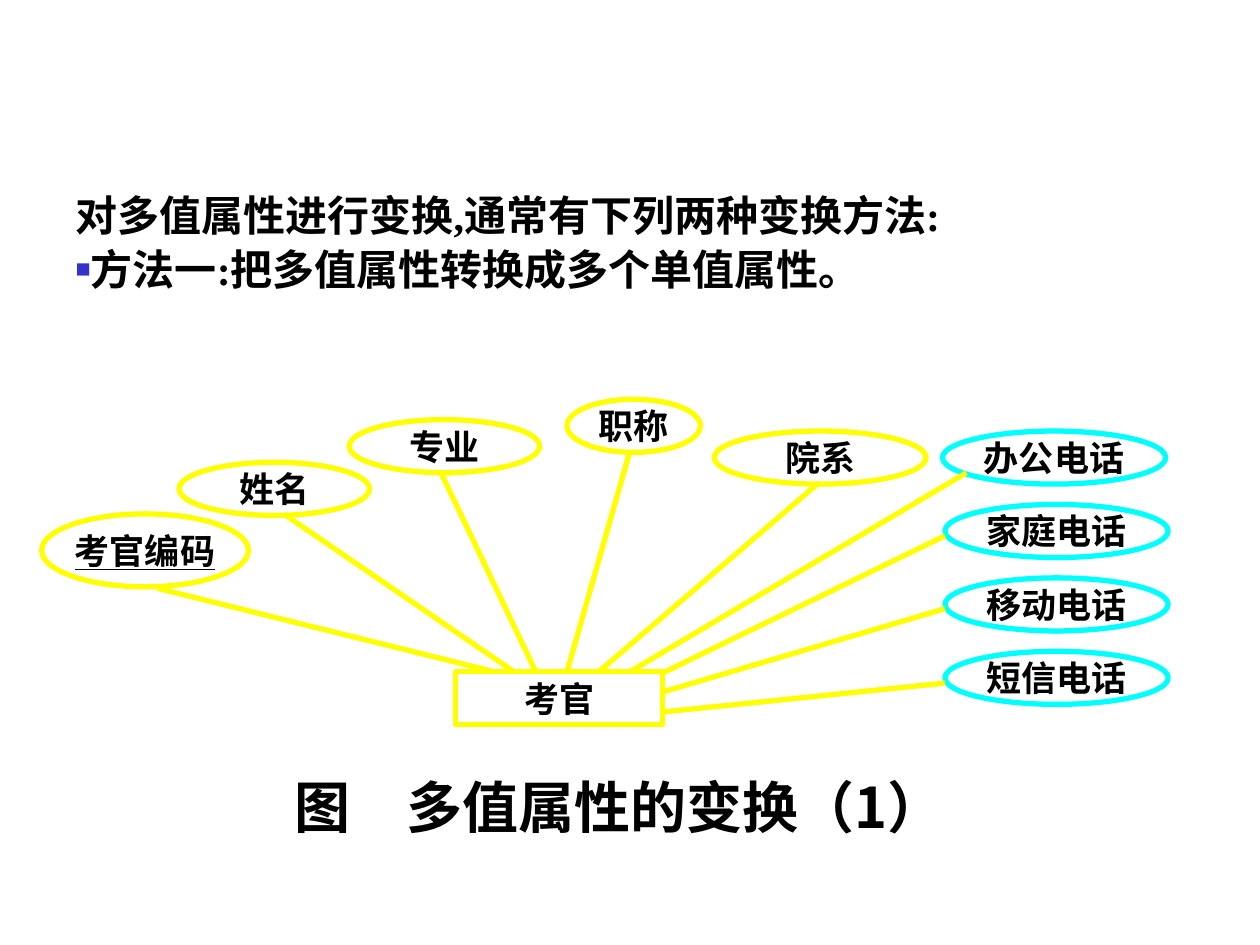
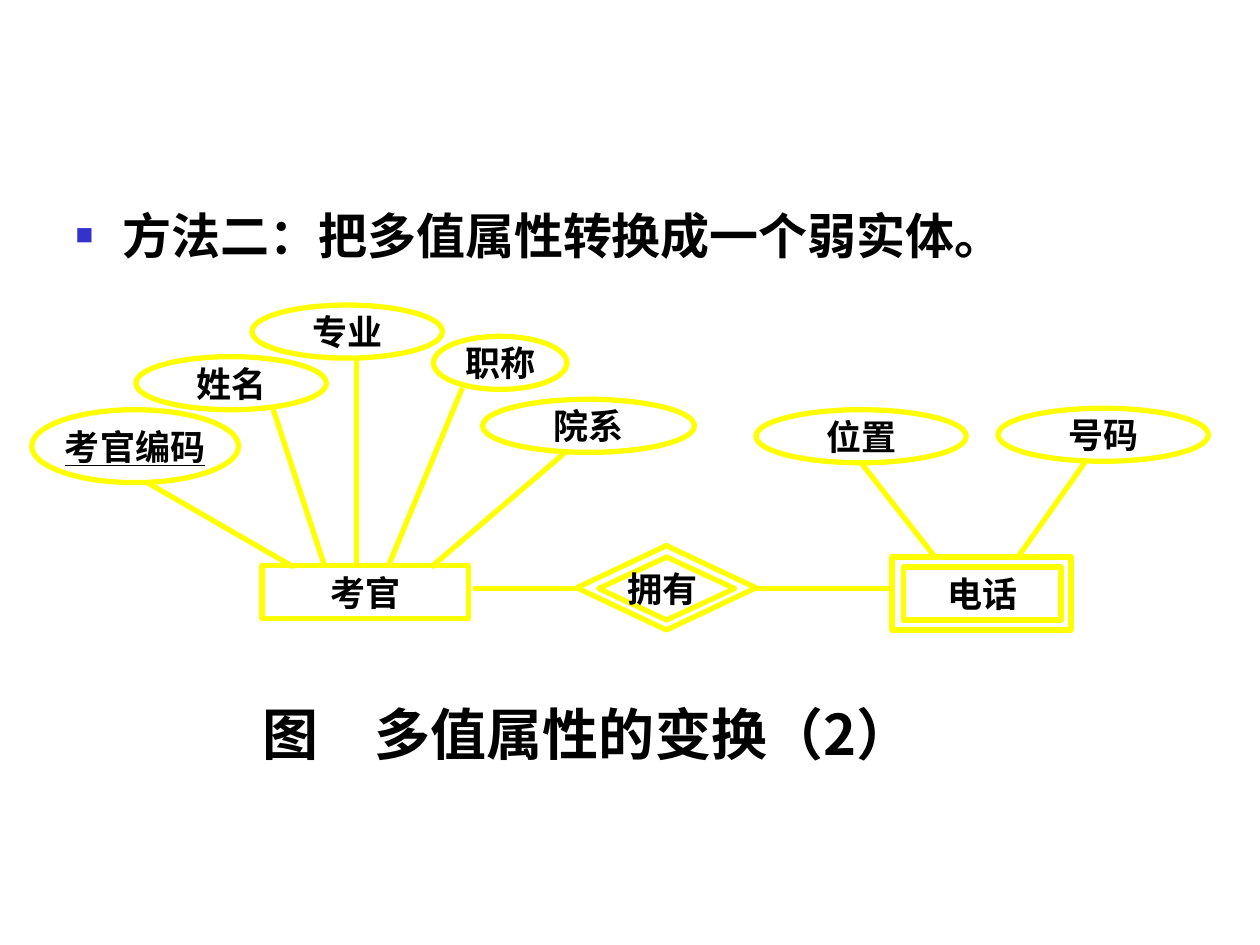
from lxml import etree
from pptx import Presentation
from pptx.dml.color import RGBColor
from pptx.enum.shapes import MSO_CONNECTOR, MSO_SHAPE
from pptx.enum.text import MSO_ANCHOR, MSO_AUTO_SIZE, PP_ALIGN
from pptx.oxml.ns import qn
from pptx.util import Cm, Pt

OVAL = MSO_SHAPE.OVAL
BOX = MSO_SHAPE.RECTANGLE
DIAMOND = MSO_SHAPE.FLOWCHART_DECISION
STRAIGHT = MSO_CONNECTOR.STRAIGHT
CENTER = PP_ALIGN.CENTER
JUSTIFY = PP_ALIGN.JUSTIFY
LEFT = PP_ALIGN.LEFT
MIDDLE = MSO_ANCHOR.MIDDLE
TOP = MSO_ANCHOR.TOP
NO_AUTOFIT = MSO_AUTO_SIZE.NONE

YELLOW = "FFFF00"
CYAN = "00FFFF"
BLACK = "000000"
BULLET_BLUE = "3333CC"
SERIF = "Times New Roman"
SANS = "Noto Sans CJK SC"
KEY = "考官编码"
ROW = 1.07
TALL = 1.47


def colour(hex_code):
    return RGBColor.from_string(hex_code)


def format_text(paragraph, size, align, latin=SERIF):
    paragraph.alignment = align
    for run in paragraph.runs:
        run.font.size = Pt(size)
        run.font.bold = True
        run.font.name = latin
        run.font.color.rgb = colour(BLACK)
        east_asian = etree.SubElement(run.font._element, qn("a:ea"))
        east_asian.set("typeface", SANS)


single_valued_nodes = [
    (KEY, OVAL, YELLOW, 0.84, 10.36, 4.17, TALL),
    ("考官", BOX, YELLOW, 9.19, 13.54, 4.17, ROW),
    ("姓名", OVAL, YELLOW, 3.61, 9.32, 3.84, ROW),
    ("专业", OVAL, YELLOW, 7.04, 8.46, 3.84, ROW),
    ("职称", OVAL, YELLOW, 11.43, 8.05, 2.69, ROW),
    ("院系", OVAL, YELLOW, 14.4, 8.69, 4.27, ROW),
    ("办公电话", OVAL, CYAN, 19, 8.69, 4.5, ROW),
]
for step, phone in enumerate(["家庭电话", "移动电话", "短信电话"]):
    single_valued_nodes.append((phone, OVAL, CYAN, 19.05, 10.17 + 1.48 * step, 4.5, ROW))

weak_entity_nodes = [
    (KEY, OVAL, YELLOW, 0.64, 8.26, 4.17, TALL),
    ("考官", BOX, YELLOW, 5.28, 11.4, 4.17, ROW),
    ("姓名", OVAL, YELLOW, 2.74, 7.19, 3.84, ROW),
    ("专业", OVAL, YELLOW, 5.08, 6.15, 3.84, ROW),
    ("职称", OVAL, YELLOW, 8.74, 6.78, 2.69, ROW),
    ("院系", OVAL, YELLOW, 9.73, 8.05, 4.27, ROW),
    ("位置", OVAL, YELLOW, 15.24, 8.26, 4.24, ROW),
    ("号码", OVAL, YELLOW, 20.12, 8.23, 4.24, ROW),
    ("电话", BOX, YELLOW, 18.21, 11.43, 3.18, ROW),
    ("", BOX, YELLOW, 17.98, 11.23, 3.61, TALL),
    ("拥有 ", DIAMOND, YELLOW, 12.07, 11.23, 2.74, 1.27),
    ("", DIAMOND, YELLOW, 11.63, 11, 3.61, 1.7),
]

single_valued_links = [
    (3.18, 11.86, 9.96, 13.54),
    (5.72, 10.36, 10.36, 13.54),
    (8.89, 9.53, 10.8, 13.54),
    (12.7, 9.09, 11.43, 13.54),
    (16.51, 9.73, 12.07, 13.54),
    (19.48, 9.53, 12.7, 13.54),
    (13.31, 13.59, 19.05, 10.8),
    (13.39, 13.94, 19.05, 12.27),
    (13.39, 14.35, 19.05, 13.77),
]
weak_entity_links = [
    (2.97, 9.73, 5.92, 11.43),
    (5.51, 8.26, 6.55, 11.43),
    (7.19, 7.19, 7.19, 11.43),
    (9.32, 7.82, 7.82, 11.43),
    (11.43, 9.09, 8.69, 11.43),
    (11.63, 11.86, 9.53, 11.86),
    (15.24, 11.86, 17.98, 11.86),
    (17.35, 9.32, 18.85, 11.23),
    (21.87, 9.32, 20.52, 11.23),
]

methods = [
    {
        "lines": [("对多值属性进行变换,通常有下列两种变换方法:", False),
                  ("方法一:把多值属性转换成多个单值属性。", True)],
        "body": (1.27, 3.81, 22.43, 4.45),
        "size": 24, "align": JUSTIFY, "spacing": 0.9, "indent": 0,
        "nodes": single_valued_nodes, "links": single_valued_links,
        "caption": "图　多值属性的变换（1）", "caption_at": (4.01, 15.44),
    },
    {
        "lines": [("方法二：把多值属性转换成一个弱实体。", True)],
        "body": (1.27, 4.01, 21.59, 1.91),
        "size": 28, "align": LEFT, "spacing": 1.0, "indent": 0.95,
        "nodes": weak_entity_nodes, "links": weak_entity_links,
        "caption": "图　多值属性的变换（2）", "caption_at": (3.38, 13.97),
    },
]

deck = Presentation()
deck.slide_width = Cm(25.4)
deck.slide_height = Cm(19.05)

for method in methods:
    slide = deck.slides.add_slide(deck.slide_layouts[1])
    heading = slide.shapes.title._element
    heading.getparent().remove(heading)

    body = slide.placeholders[1]
    body.left, body.top, body.width, body.height = [Cm(v) for v in method["body"]]
    body_text = body.text_frame
    body_text.text = "\n".join(line for line, _ in method["lines"])
    body_text.auto_size = NO_AUTOFIT
    body_text.vertical_anchor = TOP
    for paragraph, (_, bulleted) in zip(body_text.paragraphs, method["lines"]):
        format_text(paragraph, method["size"], method["align"])
        paragraph.line_spacing = method["spacing"]
        properties = paragraph._p.get_or_add_pPr()
        properties.set("marL", str(Cm(method["indent"])))
        properties.set("indent", str(-Cm(method["indent"])))
        if bulleted:
            bullet_colour = etree.SubElement(properties, qn("a:buClr"))
            etree.SubElement(bullet_colour, qn("a:srgbClr")).set("val", BULLET_BLUE)
            etree.SubElement(properties, qn("a:buSzPct")).set("val", "60000")
            etree.SubElement(properties, qn("a:buFont")).set("typeface", SERIF)
            etree.SubElement(properties, qn("a:buChar")).set("char", "■")
        else:
            etree.SubElement(properties, qn("a:buNone"))

    for label, outline, line_colour, left, top, width, height in method["nodes"]:
        node = slide.shapes.add_shape(outline, Cm(left), Cm(top), Cm(width), Cm(height))
        node.shadow.inherit = False
        node.fill.background()
        node.line.color.rgb = colour(line_colour)
        node.line.width = Pt(3)
        if label:
            frame = node.text_frame
            frame.margin_left = frame.margin_right = 0
            frame.margin_top = frame.margin_bottom = 0
            frame.vertical_anchor = MIDDLE
            frame.word_wrap = outline != DIAMOND
            frame.text = label
            format_text(frame.paragraphs[0], 20, CENTER)
            if label == KEY:
                frame.paragraphs[0].runs[0].font.underline = True

    for ends in method["links"]:
        link = slide.shapes.add_connector(STRAIGHT, *[Cm(v) for v in ends])
        link.line.color.rgb = colour(YELLOW)
        link.line.width = Pt(3)
        etree.SubElement(link._element.spPr, qn("a:effectLst"))

    caption_left, caption_top = method["caption_at"]
    caption = slide.shapes.add_textbox(Cm(caption_left), Cm(caption_top), Cm(16.94), Cm(1.7))
    caption.text_frame.word_wrap = True
    caption.text_frame.text = method["caption"]
    format_text(caption.text_frame.paragraphs[0], 32, CENTER, SANS)

deck.save("out.pptx")
